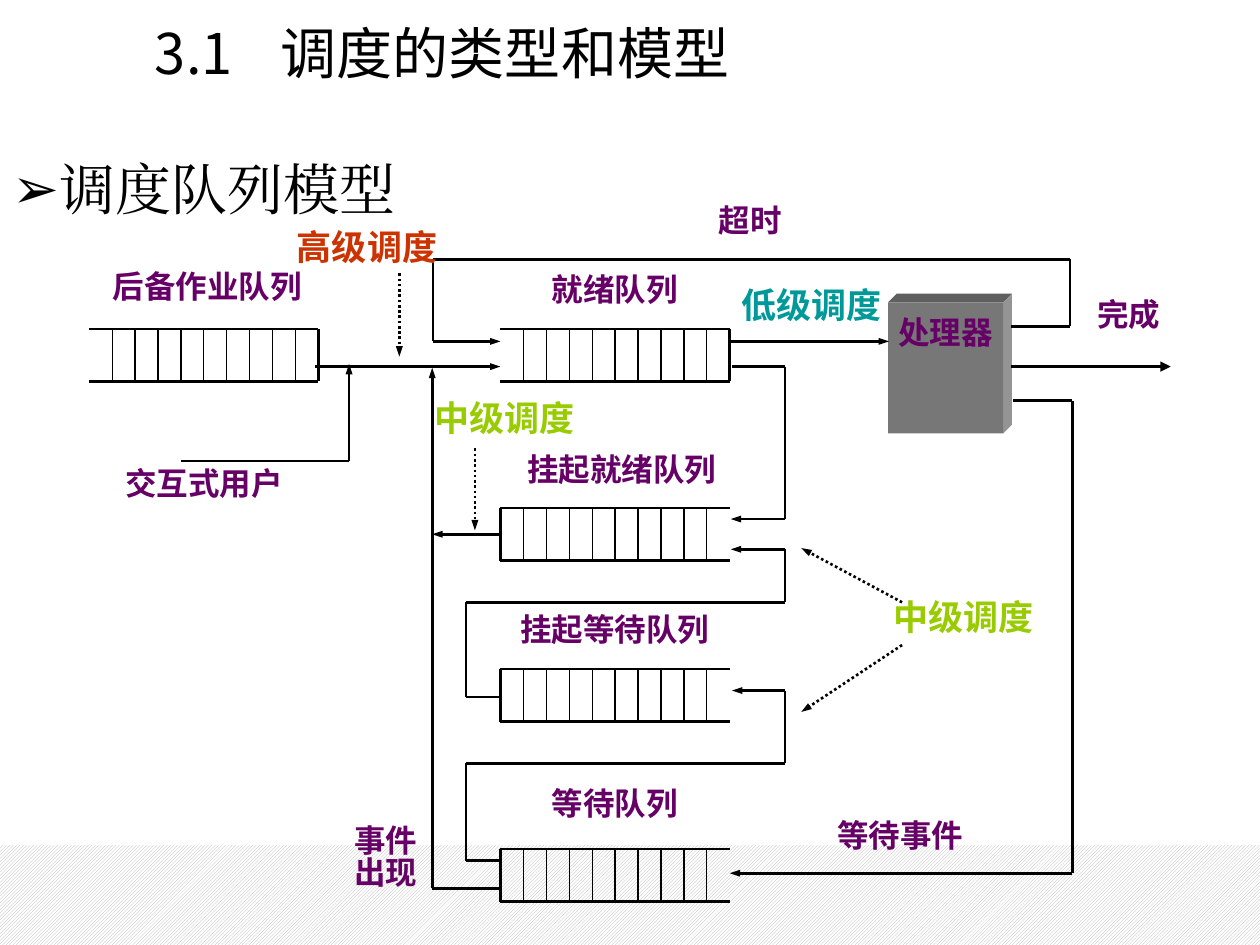
from itertools import pairwise

from lxml import etree
from pptx import Presentation
from pptx.dml.color import RGBColor
from pptx.enum.dml import MSO_LINE, MSO_PATTERN
from pptx.enum.shapes import MSO_CONNECTOR, MSO_SHAPE
from pptx.enum.text import MSO_ANCHOR, PP_ALIGN
from pptx.oxml.ns import qn
from pptx.util import Pt

BLACK = RGBColor(0x00, 0x00, 0x00)
WHITE = RGBColor(0xFF, 0xFF, 0xFF)
SILVER = RGBColor(0xB2, 0xB2, 0xB2)
PURPLE = RGBColor(0x66, 0x00, 0x66)
RED = RGBColor(0xCC, 0x33, 0x00)
TEAL = RGBColor(0x00, 0x99, 0x99)
LIME = RGBColor(0x99, 0xCC, 0x00)
FRONT_GRAY = RGBColor(0x77, 0x77, 0x77)
TOP_GRAY = RGBColor(0x5F, 0x5F, 0x5F)
SIDE_GRAY = RGBColor(0x94, 0x94, 0x94)

STRAIGHT = MSO_CONNECTOR.STRAIGHT
RECTANGLE = MSO_SHAPE.RECTANGLE
DOTTED = MSO_LINE.ROUND_DOT
DIAGONAL = MSO_PATTERN.DARK_UPWARD_DIAGONAL
TOP = MSO_ANCHOR.TOP
CENTER, LEFT = PP_ALIGN.CENTER, PP_ALIGN.LEFT

LABEL_FONT = "Noto Sans CJK JP"
TITLE_FONT = "Noto Sans CJK KR"
BODY_FONT = "Times New Roman"

# Queue geometry
QUEUE_LEFT, QUEUE_WIDTH, QUEUE_HEIGHT, CELLS = 286, 131, 30, 10
QUEUE_RIGHT = QUEUE_LEFT + QUEUE_WIDTH
BACKLOG_LEFT = 51

# Left, top, closed edge
QUEUES = [
    (QUEUE_LEFT, 188, "right"),
    (QUEUE_LEFT, 290.3, "left"),
    (QUEUE_LEFT, 382.3, "left"),
    (QUEUE_LEFT, 485.2, "left"),
    (BACKLOG_LEFT, 188, "right"),
]

# Each route ends in an arrowhead
ROUTES = [
    [(578, 186.5), (611.5, 186.5), (611.5, 148.3), (247.5, 148.3),
     (247.5, 195.1), (QUEUE_LEFT, 195.1)],
    [(579, 229), (612.7, 229), (612.7, 499), (QUEUE_RIGHT, 499)],
    [(QUEUE_RIGHT, 195.1), (508, 195.1)],
    [(180, 209.5), (QUEUE_LEFT, 209.5)],
    [(103.7, 263.5), (199.5, 263.5), (199.5, 208)],
    [(QUEUE_LEFT, 507.6), (247, 507.6), (247, 210.2)],
    [(QUEUE_LEFT, 305.3), (247, 305.3)],
    [(418.3, 209.5), (448.5, 209.5), (448.5, 296.6), (417.6, 296.6)],
    [(QUEUE_LEFT, 398.2), (266.4, 398.2), (266.4, 344.2), (448.5, 344.2),
     (448.5, 313.9), (417.6, 313.9)],
    [(QUEUE_LEFT, 491.8), (266.4, 491.8), (266.4, 436.3), (448.5, 436.3),
     (448.5, 394.6), (418.3, 394.6)],
]
DOTTED_ROUTES = [
    [(228.2, 156.2), (228.2, 203.8)],
    [(271.4, 256.3), (271.4, 303.1)],
    [(515.5, 344.2), (457.9, 313.2)],
    [(515.5, 368.6), (457.9, 406.8)],
]

# Text, left, top, width, height
QUEUE_LABELS = [
    ("完成", 621.4, 172, 47.5, 37.4),
    ("超时", 319, 118, 219.6, 30),
    ("挂起就绪队列", 290, 260.6, 130.3, 30),
    ("挂起等待队列", QUEUE_LEFT, 352, 130.3, 30),
    ("等待队列", QUEUE_LEFT, 451.4, 130.3, 30),
    ("就绪队列", QUEUE_LEFT, 157.7, 130.3, 30),
    ("等待事件", 455.8, 469.4, 117.4, 30),
    ("交互式用户", 65.5, 268.6, 102.2, 31.7),
    ("事件\n出现", 194.4, 472.3, 51.8, 59.8),
    ("后备作业队列", 56.2, 156.2, 124.6, 31.7),
]
SCHEDULER_LABELS = [
    ("中级调度", 238.3, 230.4, 100, 31, LIME),
    ("低级调度", 419.8, 165.6, 87.8, 22.3, TEAL),
    ("高级调度", 141.8, 132.5, 136, 33.8, RED),
    ("中级调度", 506.2, 344.2, 88.6, 31, LIME),
]


class SlideBuilder:
    def __init__(self, page):
        self.page = page
        self.shapes = page.shapes

    def style(self, frame, font, size, color, bold=False, align=CENTER, spacing=0.85):
        frame.word_wrap = True
        frame.vertical_anchor = TOP
        for para in frame.paragraphs:
            para.alignment = align
            para.line_spacing = spacing
            para.space_before = Pt(0)
            para.font.name, para.font.size = font, Pt(size)
            para.font.bold, para.font.color.rgb = bold, color
            defaults = para._p.pPr.find(qn("a:defRPr"))
            etree.SubElement(defaults, qn("a:ea"), typeface=font)

    def placeholder(self, box, text, area, font, align):
        box.left, box.top, box.width, box.height = map(Pt, area)
        box.text_frame.text = text
        self.style(box.text_frame, font, 32, BLACK, align=align, spacing=0.9)
        return box.text_frame.paragraphs[0]

    def bullet(self, para, symbol, indent):
        props = para._p.pPr
        props.set("marL", str(Pt(indent)))
        props.set("indent", str(-Pt(indent)))
        mark = etree.Element(qn("a:buChar"), char=symbol)
        props.find(qn("a:defRPr")).addprevious(mark)

    def label(self, text, left, top, width, height, color=PURPLE, size=18):
        box = self.shapes.add_textbox(Pt(left), Pt(top), Pt(width), Pt(height))
        frame = box.text_frame
        frame.margin_left = frame.margin_right = 0
        frame.margin_top = frame.margin_bottom = 0
        frame.text = text
        self.style(frame, LABEL_FONT, size, color, bold=True)

    def rectangle(self, left, top, width, height):
        box = self.shapes.add_shape(RECTANGLE, Pt(left), Pt(top), Pt(width), Pt(height))
        box.shadow.inherit = False
        box.line.fill.background()
        return box

    def face(self, points, color):
        outline = self.shapes.build_freeform(Pt(points[0][0]), Pt(points[0][1]))
        outline.add_line_segments([(Pt(x), Pt(y)) for x, y in points[1:]])
        face = outline.convert_to_shape()
        face.shadow.inherit = False
        face.fill.solid()
        face.fill.fore_color.rgb = color
        face.line.fill.background()

    def line(self, start, end, width=1.5, dash=None, arrow=False, head_width="sm"):
        line = self.shapes.add_connector(STRAIGHT, *map(Pt, (*start, *end)))
        line.line.color.rgb = BLACK
        line.line.width = Pt(width)
        if dash:
            line.line.dash_style = dash
        if arrow:
            etree.SubElement(line.line._get_or_add_ln(), qn("a:tailEnd"),
                             type="triangle", w=head_width, len="med")
        etree.SubElement(line._element.spPr, qn("a:effectLst"))

    def route(self, points, dash=None):
        for start, end in pairwise(points):
            self.line(start, end, dash=dash, arrow=end == points[-1])

    def queue(self, left, top, closed):
        right, bottom = left + QUEUE_WIDTH, top + QUEUE_HEIGHT
        for y in (top, bottom):
            self.line((left, y), (right, y))
        edge = left if closed == "left" else right
        self.line((edge, top), (edge, bottom))
        for cell in range(1, CELLS):
            x = left + QUEUE_WIDTH * cell / CELLS
            self.line((x, top), (x, bottom), width=0.75)

    def processor(self, left, top, width, height, depth):
        right, bottom = left + width, top + height
        back = (right + depth, top - depth)
        self.face([(left, top), (left + depth, top - depth), back, (right, top)], TOP_GRAY)
        self.face([(right, top), back, (right + depth, bottom - depth),
                   (right, bottom)], SIDE_GRAY)
        box = self.rectangle(left, top, width, height)
        box.fill.solid()
        box.fill.fore_color.rgb = FRONT_GRAY
        frame = box.text_frame
        frame.margin_left = frame.margin_right = 0
        frame.margin_top, frame.margin_bottom = Pt(9.4), Pt(3.6)
        frame.text = "处理器"
        self.style(frame, LABEL_FONT, 18, PURPLE, bold=True)


def main():
    deck = Presentation()
    deck.slide_width, deck.slide_height = Pt(720), Pt(540)
    page = deck.slides.add_slide(deck.slide_layouts[1])
    builder = SlideBuilder(page)

    # Footer band
    band = builder.rectangle(0, 483, 720, 57)
    band.fill.patterned()
    band.fill.pattern = DIAGONAL
    band.fill.fore_color.rgb, band.fill.back_color.rgb = SILVER, WHITE

    # Title and heading
    builder.placeholder(page.shapes.title, "3.1\t调度的类型和模型",
                        (0, 11.5, 505.4, 89.3), TITLE_FONT, CENTER)
    heading = builder.placeholder(page.placeholders[1], "调度队列模型",
                                  (0, 89.3, 630, 393), BODY_FONT, LEFT)
    builder.bullet(heading, "➢", 27)

    # Queues and processor
    for queue in QUEUES:
        builder.queue(*queue)
    builder.processor(507.5, 172.8, 65.8, 74.9, 5)

    # Flows between them
    for points in ROUTES:
        builder.route(points)
    for points in DOTTED_ROUTES:
        builder.route(points, DOTTED)
    builder.line((577.5, 209.5), (669, 209.5), arrow=True, head_width="med")

    # Labels
    for label in QUEUE_LABELS:
        builder.label(*label)
    for label in SCHEDULER_LABELS:
        builder.label(*label, size=20)

    deck.save("out.pptx")


if __name__ == "__main__":
    main()
